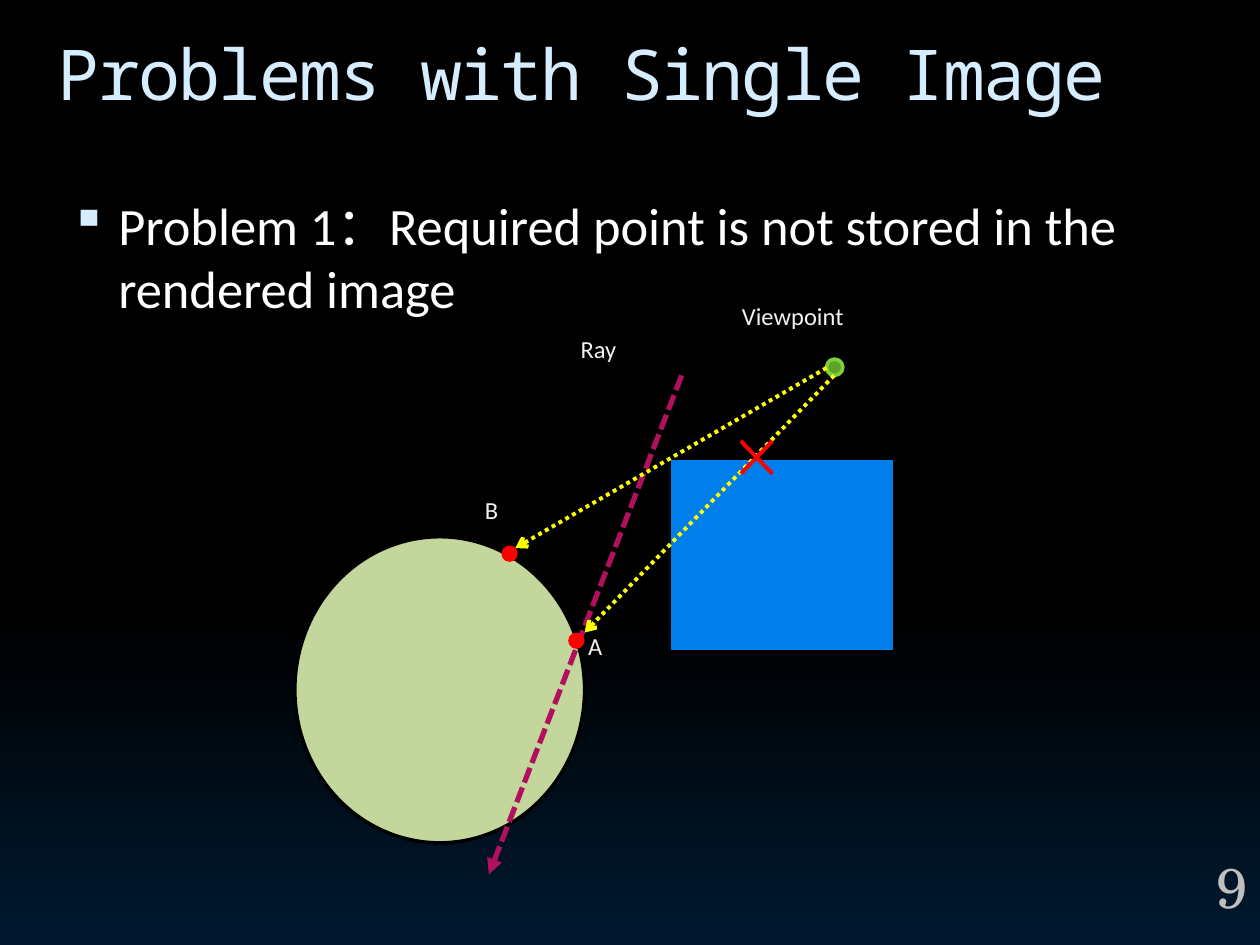
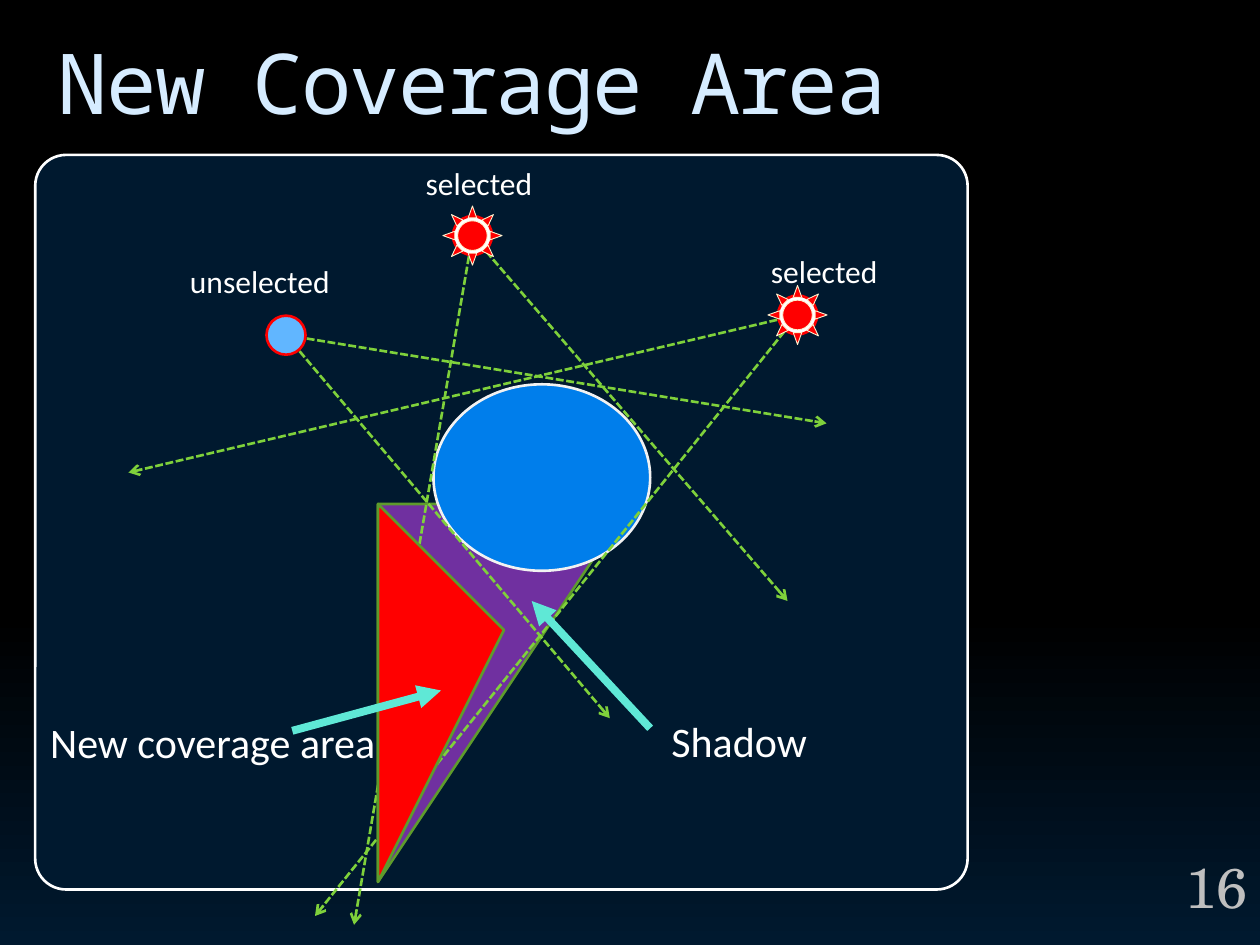
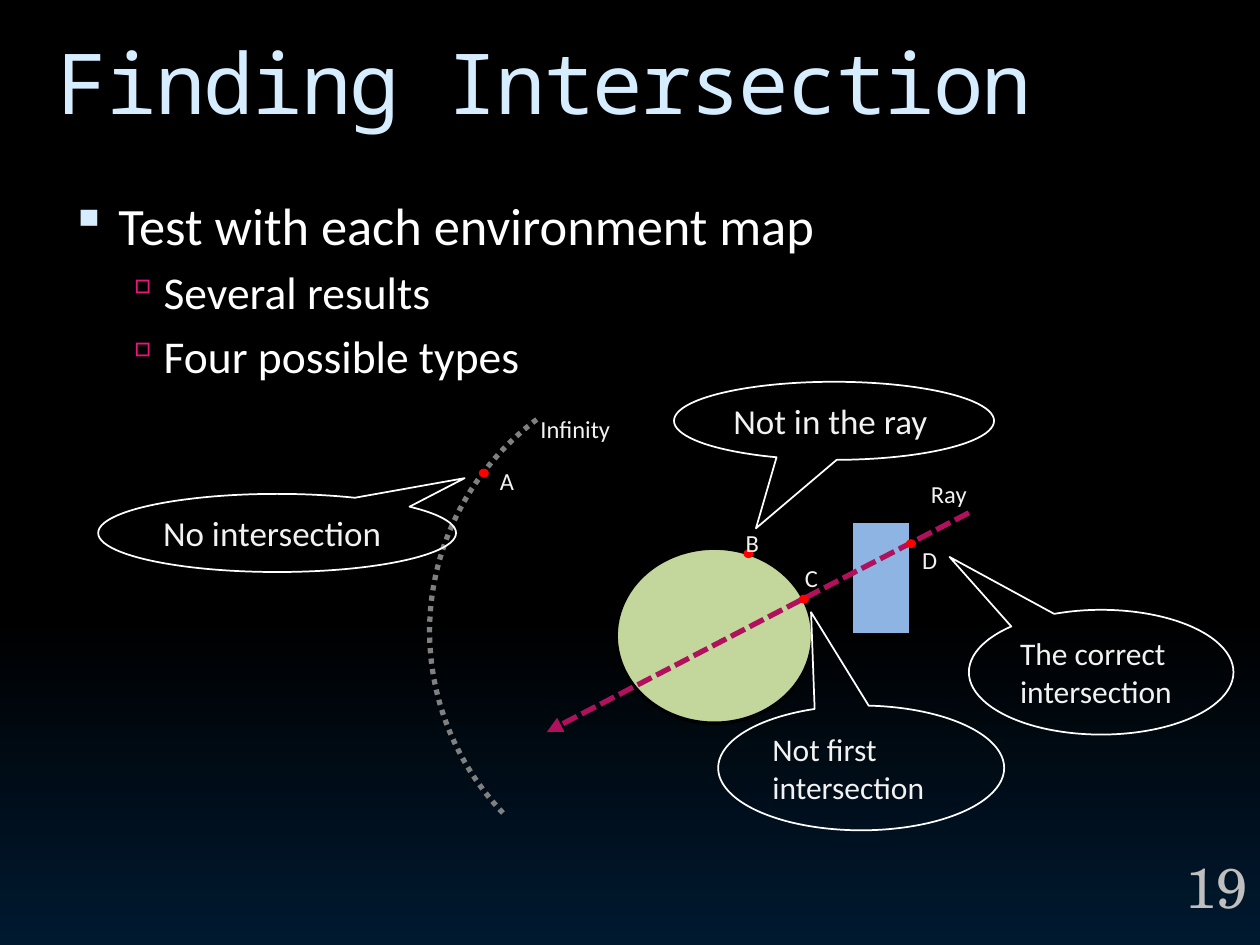
from copy import deepcopy

from lxml import etree
from pptx import Presentation
from pptx import util as u
from pptx.dml.color import RGBColor
from pptx.enum import dml, shapes, text
from pptx.oxml.ns import qn

W, H = 10, 7.5
MONO, SANS, SERIF = "Noto Sans Mono", "Calibri", "TeX Gyre Schola"
C = dict(black="000000", navy="00192F", title="D6ECFF", white="FFFFFF", pale="F2F2F2",
         number="BFBFBF", pink="EA157A", sage="C3D69B", blue="007EEB", ray="B0105C",
         leaf="5FA326", lime="7FD13B", red="FF0000", yellow="FFFF00", purple="7030A0",
         moss="5E9B2C", sky="61B6FF", cream="FFF1CE", aqua="5FE8D6", grey="808080",
         steel="8EB4E3")
BACKGROUND = [(0, "black"), (0.65, "black"), (1, "navy")]
BANDS = [(0.34, 0.05), (0.29, 0.03), (0.27, 0.01), (0.24, 0.01)]
BULLETS = [dict(char="▪", color="title", pct=95, left=0.45, hang=0.38, size=30, before=0),
           dict(char="▫", color="pink", pct=90, left=0.81, hang=0.31, size=26, before=5)]
SHAPE = shapes.MSO_SHAPE
GEOMETRY = dict(oval=SHAPE.OVAL, rect=SHAPE.RECTANGLE, panel=SHAPE.ROUNDED_RECTANGLE,
                sun=SHAPE.SUN, arc=SHAPE.ARC, callout=SHAPE.OVAL_CALLOUT)
DASH = dict(dash="sysDash", dot="sysDot")
LINES = dict(ray=("ray", 3, "dash", "triangle"), view=("yellow", 2.25, "dot", "arrow"),
             cross=("red", 2.25, None, None), light=("lime", 1.5, "dash", "arrow"),
             pointer=("aqua", 4.5, None, "triangle"))

VIEWPOINT_SLIDE = [
    ("oval", (2.34, 4.26, 2.3, 2.43), "sage", ("black", 2)),
    ("rect", (5.31, 3.64, 1.79, 1.53), "blue", ("black", 2)),
    ("line", "ray", (5.41, 2.98), (3.88, 6.94)),
    ("oval", (6.56, 2.85, 0.13, 0.13), "leaf", ("lime", 2)),
    ("label", "Viewpoint", (5.79, 2.34, 1.79, 0.42), 14),
    ("oval", (3.98, 4.33, 0.13, 0.13), "red"),
    ("oval", (4.51, 5.02, 0.13, 0.13), "red"),
    ("label", "A", (4.57, 4.96, 0.89, 0.42), 14),
    ("label", "B", (3.75, 3.88, 0.77, 0.42), 14),
    ("label", "Ray", (4.51, 2.6, 1.28, 0.42), 14),
    ("line", "view", (6.56, 2.92), (4.09, 4.35)),
    ("line", "view", (6.62, 2.98), (4.64, 5.02)),
    ("line", "cross", (5.88, 3.5), (6.13, 3.76)),
    ("line", "cross", (6.13, 3.5), (5.88, 3.76)),
]

TOP, RIGHT, LEFT = (3.75, 1.87), (6.33, 2.5), (2.27, 2.66)


def around(center, size):
    return center[0] - size / 2, center[1] - size / 2, size, size


COVERAGE_SLIDE = [
    ("panel", (0.28, 1.23, 7.4, 5.83), "navy", ("white", 1.5), (0.042,)),
    ("area", [(3.43, 3.59), (2.9, 6.68), (5.04, 4.12)], "purple", ("moss", 1.5)),
    ("oval", (3.44, 3.05, 1.72, 1.48), "blue", ("pale", 1.5)),
    *[("line", "light", start, end) for start, end in
      [(TOP, (2.81, 7.34)), (TOP, (6.25, 4.77)), (RIGHT, (1.02, 3.75)), (RIGHT, (2.5, 7.27))]],
    *[("oval", around(light, 0.31), "white", ("red", 1.5)) for light in (TOP, RIGHT)],
    ("label", "selected", (3.28, 1.25, 1.33, 0.4), 18, "white"),
    ("label", "selected", (6.02, 1.95, 1.33, 0.4), 18, "white"),
    *[("line", "light", LEFT, end) for end in [(4.84, 5.7), (6.56, 3.36)]],
    ("oval", around(LEFT, 0.31), "sky", ("red", 1.5)),
    ("label", "unselected", (1.41, 2.03, 1.33, 0.4), 18, "white"),
    ("area", [(3.38, 3.97), (4.31, 5.07), (2.94, 6.74)], "red", ("moss", 1.5)),
    *[("sun", around(light, 0.47), "red", ("cream", 0.5)) for light in (TOP, RIGHT)],
    ("label", "Shadow", (5.23, 5.63, 2.11, 0.5), 24, "white"),
    ("line", "pointer", (5.16, 5.78), (4.22, 4.77)),
    ("label", "New coverage area", (0.3, 5.64, 2.93, 0.5), 24, "white"),
    ("line", "pointer", (2.32, 5.8), (3.5, 5.48)),
]

POINTS = [(3.8, 3.72), (6.34, 4.72), (7.19, 4.28), (5.9, 4.36)]
LETTERS = [("A", 3.87, 3.65, 0.47), ("D", 7.22, 4.28, 0.47), ("B", 5.82, 4.14, 0.47),
           ("C", 6.29, 4.42, 0.47), ("Ray", 7.29, 3.75, 0.7), ("Infinity", 4.19, 3.24, 1.09)]
CALLOUTS = [("The correct intersection", 18, (7.69, 4.84, 2.1, 0.99), (-0.573, -0.924)),
            ("No intersection", 20, (0.78, 3.92, 2.84, 0.62), (0.524, -0.702)),
            ("Not in the ray", 20, (5.35, 3.03, 2.54, 0.62), (-0.244, 1.376)),
            ("Not first intersection", 18, (5.7, 5.6, 2.27, 0.99), (-0.175, -1.249))]
INTERSECTION_SLIDE = [
    ("arc", (3.41, 2.89, 4.36, 4.24), None, ("grey", 3, "dot"), (82.75, 139.104)),
    ("oval", (4.89, 4.35, 1.56, 1.39), "sage", ("black", 2)),
    ("rect", (6.76, 4.14, 0.47, 0.9), "steel", ("black", 2)),
    ("line", "ray", (7.69, 4.07), (4.34, 5.81)),
    *[("oval", (x, y, 0.08, 0.07), "red") for x, y in POINTS],
    *[("label", name, (x, y, w, 0.37), 14) for name, x, y, w in LETTERS],
    *[("callout", box, None, ("white", 1), tip, words, size)
      for words, size, box, tip in CALLOUTS],
]

SLIDES = [
    dict(title="Problems with Single Image", size=40, number="9", items=VIEWPOINT_SLIDE,
         bullets=[(0, "Problem 1：Required point is not stored in the rendered image")]),
    dict(title="New Coverage Area", size=48, number="16", items=COVERAGE_SLIDE, bullets=[]),
    dict(title="Finding Intersection", size=48, number="19", items=INTERSECTION_SLIDE,
         bullets=[(0, "Test with each environment map"), (1, "Several results"),
                  (1, "Four possible types")]),
]


def rgb(name):
    return RGBColor.from_string(C[name])


def inches(values):
    return [u.Inches(v) for v in values]


def style_frame(tf, **extra):
    values = dict(word_wrap=True, vertical_anchor=text.MSO_ANCHOR.TOP,
                  auto_size=text.MSO_AUTO_SIZE.NONE)
    for key, value in {**values, **extra}.items():
        setattr(tf, key, value)


def write(p, words, size, color, font=SANS):
    r = p.add_run()
    r.text = words
    for key, value in dict(name=font, size=u.Pt(size)).items():
        setattr(r.font, key, value)
    r.font.color.rgb = rgb(color)
    return r


def add_label(s, words, box, size, color="pale", font=SANS, align=text.PP_ALIGN.LEFT):
    tf = s.shapes.add_textbox(*inches(box)).text_frame
    style_frame(tf)
    p = tf.paragraphs[0]
    p.alignment = align
    write(p, words, size, color, font)


def style_line(line, color, width, dash=None, tail=None):
    line.color.rgb = rgb(color)
    line.width = u.Pt(width)
    ln = line._get_or_add_ln()
    if dash:
        etree.SubElement(ln, qn("a:prstDash"), val=DASH[dash])
    if tail:
        etree.SubElement(ln, qn("a:tailEnd"), type=tail)


def style_shape(sp, fill, line):
    sp.shadow.inherit = False
    if fill:
        sp.fill.solid()
        sp.fill.fore_color.rgb = rgb(fill)
    else:
        sp.fill.background()
    if line:
        style_line(sp.line, *line)
    else:
        sp.line.fill.background()


def add_preset(s, kind, box, fill, line=None, adjust=(), words=None, size=None):
    sp = s.shapes.add_shape(GEOMETRY[kind], *inches(box))
    style_shape(sp, fill, line)
    for i, value in enumerate(adjust):
        sp.adjustments[i] = value
    if words:
        style_frame(sp.text_frame)
        p = sp.text_frame.paragraphs[0]
        p.alignment = text.PP_ALIGN.LEFT
        write(p, words, size, "pale")


def add_area(s, points, fill, line):
    builder = s.shapes.build_freeform(*points[0], scale=u.Inches(1))
    builder.add_line_segments(points[1:], close=True)
    style_shape(builder.convert_to_shape(), fill, line)


def add_line(s, style, start, end):
    cx = s.shapes.add_connector(shapes.MSO_CONNECTOR.STRAIGHT, *inches(start + end))
    style_line(cx.line, *LINES[style])
    etree.SubElement(cx._element.spPr, qn("a:effectLst"))


def add_bullets(s, bullets):
    tf = s.shapes.add_textbox(*inches((0.39, 1.48, 9.11, 5.47))).text_frame
    style_frame(tf)
    for i, (level, words) in enumerate(bullets):
        b = BULLETS[level]
        p = tf.add_paragraph() if i else tf.paragraphs[0]
        p.level = level
        p.space_before = u.Pt(b["before"])
        pPr = p._p.get_or_add_pPr()
        pPr.set("marL", str(u.Inches(b["left"])))
        pPr.set("indent", str(-u.Inches(b["hang"])))
        color = etree.SubElement(pPr, qn("a:buClr"))
        etree.SubElement(color, qn("a:srgbClr"), val=C[b["color"]])
        etree.SubElement(pPr, qn("a:buSzPct"), val=str(b["pct"] * 1000))
        etree.SubElement(pPr, qn("a:buChar"), char=b["char"])
        write(p, words, b["size"], "white")


def set_background(master):
    fill = master.background.fill
    fill.gradient()
    fill.gradient_angle = 270
    stops = master._element.find(".//" + qn("a:gsLst"))
    stops.insert(1, deepcopy(stops[0]))
    for stop, (position, color) in zip(fill.gradient_stops, BACKGROUND):
        stop.position = position
        stop.color.rgb = rgb(color)


def set_title(s, words, size):
    sp = s.shapes.title
    for key, value in zip(("left", "top", "width", "height"), inches((0.39, 0.23, 9.14, 1))):
        setattr(sp, key, value)
    style_frame(sp.text_frame, margin_left=u.Inches(0.07), margin_top=u.Inches(0.01))
    p = sp.text_frame.paragraphs[0]
    p.alignment = text.PP_ALIGN.LEFT
    r = write(p, words, size, "title", MONO)
    r._r.get_or_add_rPr().set("spc", "-100")


def add_slide(prs, content):
    s = prs.slides.add_slide(prs.slide_layouts[5])
    for x, w in BANDS:
        add_preset(s, "rect", (x, 0.74, w, 0.4), "black")
    set_title(s, content["title"], content["size"])
    if content["bullets"]:
        add_bullets(s, content["bullets"])
    add_label(s, content["number"], (W - 0.86, H - 0.78, 0.86, 0.78), 32, "number", SERIF,
              text.PP_ALIGN.RIGHT)
    special = dict(line=add_line, label=add_label, area=add_area)
    for kind, *args in content["items"]:
        if kind in special:
            special[kind](s, *args)
        else:
            add_preset(s, kind, *args)


def main():
    prs = Presentation()
    prs.slide_width, prs.slide_height = inches((W, H))
    set_background(prs.slide_master)
    for content in SLIDES:
        add_slide(prs, content)
    prs.save("out.pptx")


if __name__ == "__main__":
    main()
